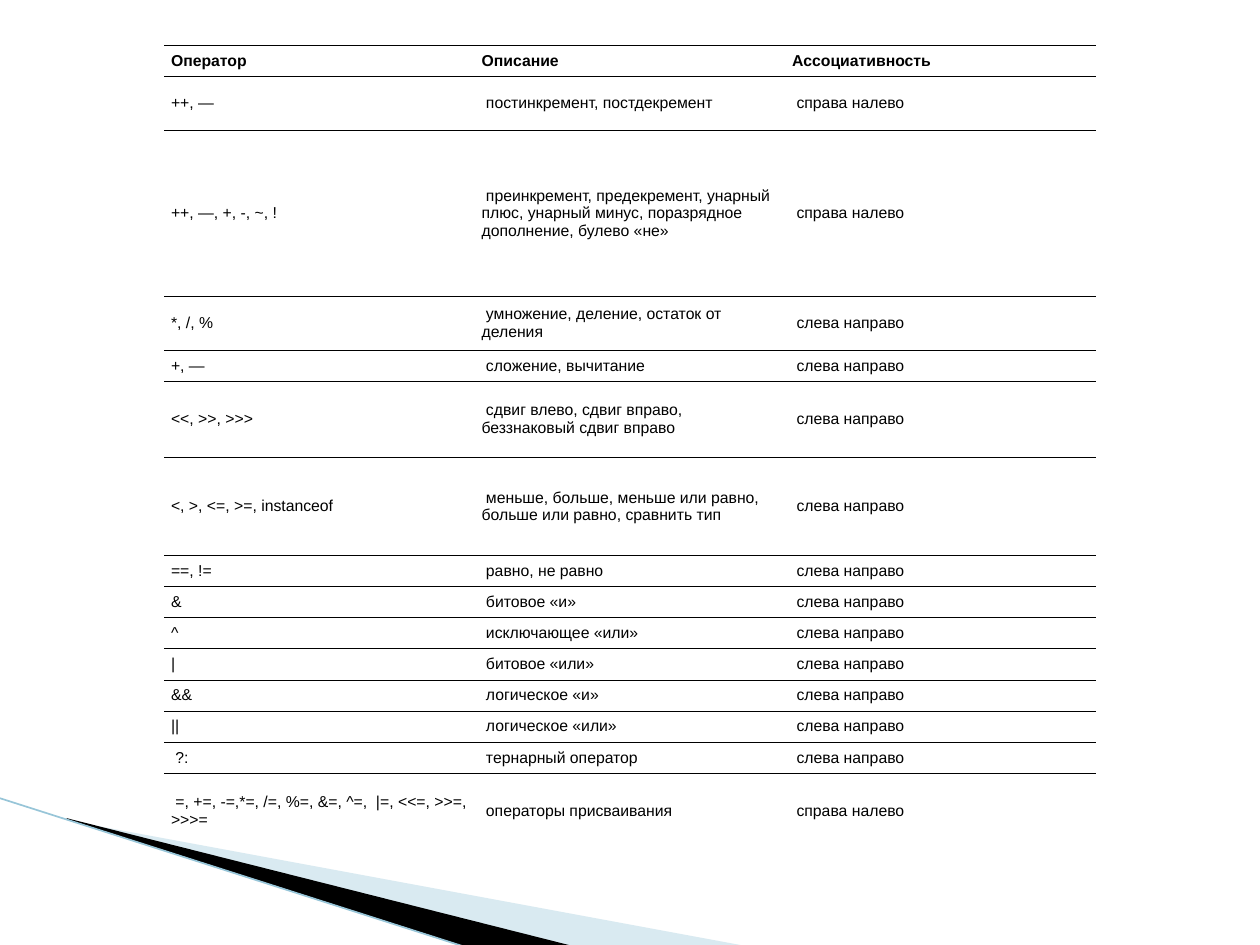
from lxml import etree
from pptx import Presentation
from pptx import util as u
from pptx.dml.color import RGBColor
from pptx.enum import shapes, text
from pptx.oxml import ns

BLACK = RGBColor(0x00, 0x00, 0x00)
PALE_BLUE = RGBColor(0xA0, 0xCB, 0xDC)
EDGE_BLUE = RGBColor(0x97, 0xC5, 0xD8)

NBSP = chr(160)
RIGHT_TO_LEFT = "справа налево"
LEFT_TO_RIGHT = "слева направо"
HEADINGS = ("Оператор", "Описание", "Ассоциативность")
HEADING_HEIGHT = 17.75
OPERATORS = [
    (30.9, "++, —", "постинкремент, постдекремент", RIGHT_TO_LEFT),
    (94.9, "++, —, +, -, ~, !",
     "преинкремент, предекремент, унарный плюс, унарный минус, "
     "поразрядное дополнение, булево «не»", RIGHT_TO_LEFT),
    (30.9, "*, /, %", "умножение, деление, остаток от деления", LEFT_TO_RIGHT),
    (17.75, "+, —", "сложение, вычитание", LEFT_TO_RIGHT),
    (43.3, "<<, >>, >>>", "сдвиг влево, сдвиг вправо, беззнаковый сдвиг вправо",
     LEFT_TO_RIGHT),
    (56.4, "<, >, <=, >=, instanceof",
     "меньше, больше, меньше или равно, больше или равно, сравнить тип",
     LEFT_TO_RIGHT),
    (17.75, "==, !=", "равно, не равно", LEFT_TO_RIGHT),
    (17.75, "&", "битовое «и»", LEFT_TO_RIGHT),
    (17.75, "^", f"исключающее{NBSP}«или»", LEFT_TO_RIGHT),
    (17.75, "|", "битовое «или»", LEFT_TO_RIGHT),
    (17.75, "&&", "логическое «и»", LEFT_TO_RIGHT),
    (17.75, "||", "логическое «или»", LEFT_TO_RIGHT),
    (17.75, f"{NBSP}?:", "тернарный оператор", LEFT_TO_RIGHT),
    (43.3, f"{NBSP}=, +=, -=,*=, /=, %=, &=, ^=,{NBSP}{NBSP}|=, <<=, >>=, >>>=",
     "операторы присваивания", RIGHT_TO_LEFT),
]

CELL_FORMAT = {
    "margin_left": u.Pt(4), "margin_right": u.Pt(4),
    "margin_top": u.Pt(2), "margin_bottom": u.Pt(2),
    "vertical_anchor": text.MSO_ANCHOR.MIDDLE,
}
TABLE_FORMAT = {"first_row": False, "horz_banding": False}
FONT_FORMAT = {"name": "Arial", "size": u.Pt(9)}


def apply_format(target, values):
    """Set each named attribute of the target."""
    for name, value in values.items():
        setattr(target, name, value)


def add_child(parent, tag, **attributes):
    """Append a namespaced child element."""
    return etree.SubElement(parent, ns.qn(tag), attributes)


def set_borders(cell, ruled_sides):
    """Rule the given sides of a cell and clear the others."""
    properties = cell._tc.get_or_add_tcPr()
    for side in "LRTB":
        line = add_child(properties, f"a:ln{side}", w=str(u.Pt(0.6)))
        if side in ruled_sides:
            fill = add_child(line, "a:solidFill")
            add_child(fill, "a:srgbClr", val=str(BLACK))
        else:
            add_child(line, "a:noFill")


def fill_cell(cell, wording, bold, ruled_sides):
    """Write and format one table cell."""
    apply_format(cell, CELL_FORMAT)
    set_borders(cell, ruled_sides)
    cell.fill.background()
    run = cell.text_frame.paragraphs[0].add_run()
    run.text = wording
    apply_format(run.font, FONT_FORMAT | {"bold": bold})
    run.font.color.rgb = BLACK


def add_operator_table(slide, left, top, width):
    """Place the table of operators, descriptions and associativity."""
    heights = [HEADING_HEIGHT] + [row[0] for row in OPERATORS]
    rows = [HEADINGS] + [
        (operator, NBSP + description, NBSP + direction)
        for _, operator, description, direction in OPERATORS
    ]
    table = slide.shapes.add_table(
        len(rows), len(HEADINGS), u.Pt(left), u.Pt(top), u.Pt(width),
        u.Pt(sum(heights))).table
    apply_format(table, TABLE_FORMAT)
    for column in table.columns:
        column.width = u.Pt(width / len(HEADINGS))
    for index, (height, wordings) in enumerate(zip(heights, rows)):
        table.rows[index].height = u.Pt(height)
        ruled_sides = "T" if index == len(rows) - 1 else "TB"
        for column, wording in enumerate(wordings):
            fill_cell(table.cell(index, column), wording, index == 0, ruled_sides)


def add_wedge(slide, points, color):
    """Draw a borderless filled polygon."""
    start, *others = [(u.Pt(x), u.Pt(y)) for x, y in points]
    builder = slide.shapes.build_freeform(*start)
    builder.add_line_segments(others, close=True)
    wedge = builder.convert_to_shape()
    wedge.shadow.inherit = False
    wedge.fill.solid()
    wedge.fill.fore_color.rgb = color
    wedge.line.fill.background()
    return wedge


def add_corner_sweep(slide, left, top):
    """Place the pale wedge, the black wedge and the thin edge line."""
    def place(*points):
        return [(left + x, top + y) for x, y in points]

    pale = add_wedge(
        slide, place((40, 13), (429, 85), (329, 85), (40, 12.4)), PALE_BLUE)
    color = pale.fill._xPr.find(".//" + ns.qn("a:srgbClr"))
    add_child(color, "a:alpha", val="40000")
    add_wedge(slide, place((38.5, 11.5), (329.5, 85), (268.5, 85.5), (39, 12.2)), BLACK)
    (x1, y1), (x2, y2) = place((0, 0), (267.5, 85.5))
    edge = slide.shapes.add_connector(
        shapes.MSO_CONNECTOR.STRAIGHT, u.Pt(x1), u.Pt(y1), u.Pt(x2), u.Pt(y2))
    edge.line.color.rgb = EDGE_BLUE
    edge.line.width = u.Pt(0.95)
    add_child(edge._element.spPr, "a:effectLst")


def main():
    """Build and save the operator precedence slide."""
    presentation = Presentation()
    apply_format(presentation, {"slide_width": u.Pt(720), "slide_height": u.Pt(540)})
    slide = presentation.slides.add_slide(presentation.slide_layouts[6])
    add_corner_sweep(slide, left=-0.5, top=456)
    add_operator_table(slide, left=93.75, top=25.75, width=532.5)
    presentation.save("out.pptx")


if __name__ == "__main__":
    main()
